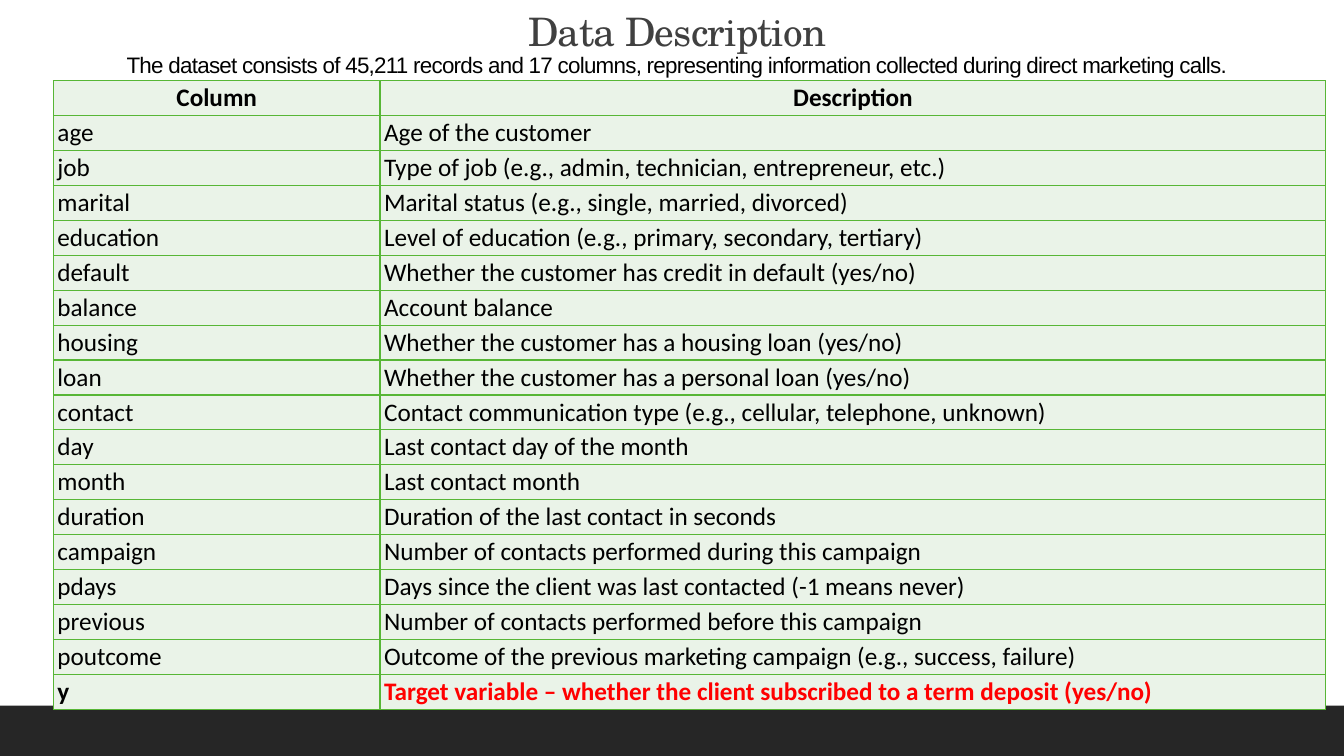
from lxml import etree
from pptx import Presentation
from pptx.dml.color import RGBColor
from pptx.enum.shapes import MSO_SHAPE
from pptx.enum.text import MSO_ANCHOR, PP_ALIGN
from pptx.oxml.ns import qn
from pptx.util import Inches, Pt

RECTANGLE = MSO_SHAPE.RECTANGLE
MIDDLE, BOTTOM = MSO_ANCHOR.MIDDLE, MSO_ANCHOR.BOTTOM
LEFT, CENTER = PP_ALIGN.LEFT, PP_ALIGN.CENTER

BLACK = RGBColor(0x00, 0x00, 0x00)
RED = RGBColor(0xFF, 0x00, 0x00)
TITLE_GREY = RGBColor(0x40, 0x40, 0x40)
BAND_GREY = RGBColor(0x26, 0x26, 0x26)
CELL_GREEN = RGBColor(0xEA, 0xF3, 0xE8)
BORDER_GREEN = RGBColor(0x57, 0xB6, 0x36)

WIDTH, HEIGHT = 13.33, 7.5
TITLE = "Data Description"
SUBTITLE = (
    "The dataset consists of 45,211 records and 17 columns, "
    "representing information collected during direct marketing calls."
)
HEADER = ("Column", "Description")
FIELDS = [
    ("age", "Age of the customer"),
    ("job", "Type of job (e.g., admin, technician, entrepreneur, etc.)"),
    ("marital", "Marital status (e.g., single, married, divorced)"),
    ("education", "Level of education (e.g., primary, secondary, tertiary)"),
    ("default", "Whether the customer has credit in default (yes/no)"),
    ("balance", "Account balance"),
    ("housing", "Whether the customer has a housing loan (yes/no)"),
    ("loan", "Whether the customer has a personal loan (yes/no)"),
    ("contact", "Contact communication type (e.g., cellular, telephone, unknown)"),
    ("day", "Last contact day of the month"),
    ("month", "Last contact month"),
    ("duration", "Duration of the last contact in seconds"),
    ("campaign", "Number of contacts performed during this campaign"),
    ("pdays", "Days since the client was last contacted (-1 means never)"),
    ("previous", "Number of contacts performed before this campaign"),
    ("poutcome", "Outcome of the previous marketing campaign (e.g., success, failure)"),
]
TARGET = ("y", "Target variable – whether the client subscribed to a term deposit (yes/no)")


class DescriptionPage:
    """Holds the slide and its style, with lengths as shares of the slide's size."""

    def __init__(self, deck):
        self.width, self.height = deck.slide_width, deck.slide_height
        self.page = deck.slides.add_slide(deck.slide_layouts[6])

    def place(self, left, top, width, height):
        return (
            round(left * self.width),
            round(top * self.height),
            round(width * self.width),
            round(height * self.height),
        )

    def add_span(self, para, text, font, size, color, align, bold=False, spacing=0):
        para.alignment = align
        span = para.add_run()
        span.text = text
        span.font.name = font
        span.font.size = Pt(size)
        span.font.bold = bold
        span.font.color.rgb = color
        if spacing:
            span.font._element.set("spc", str(round(spacing * 100)))

    def band(self, *area):
        box = self.page.shapes.add_shape(RECTANGLE, *self.place(*area))
        box.shadow.inherit = False
        box.fill.solid()
        box.fill.fore_color.rgb = BAND_GREY
        box.line.fill.background()

    def heading(self, *area):
        frame = self.page.shapes.add_textbox(*self.place(*area)).text_frame
        frame.word_wrap = True
        frame.vertical_anchor = BOTTOM
        lines = (
            (TITLE, "TeX Gyre Schola", 28, TITLE_GREY),
            (SUBTITLE, "Arial", 16, BLACK),
        )
        for index, line in enumerate(lines):
            para = frame.add_paragraph() if index else frame.paragraphs[0]
            para.line_spacing = 0.85
            self.add_span(para, *line, CENTER, spacing=-0.5)

    def border(self, cell):
        properties = cell._tc.get_or_add_tcPr()
        for index, side in enumerate(("a:lnL", "a:lnR", "a:lnT", "a:lnB")):
            line = etree.Element(qn(side), w=str(Pt(1)))
            fill = etree.SubElement(line, qn("a:solidFill"))
            etree.SubElement(fill, qn("a:srgbClr"), val=str(BORDER_GREEN))
            properties.insert(index, line)

    def cell(self, cell, text, color, align, bold):
        cell.fill.solid()
        cell.fill.fore_color.rgb = CELL_GREEN
        cell.vertical_anchor = MIDDLE
        cell.margin_left = cell.margin_right = Inches(0.04)
        cell.margin_top = cell.margin_bottom = Inches(0.02)
        self.border(cell)
        self.add_span(cell.text_frame.paragraphs[0], text, "Calibri", 18, color, align, bold)

    def table(self, rows, first_share, *area):
        left, top, width, height = self.place(*area)
        grid = self.page.shapes.add_table(len(rows), 2, left, top, width, height).table
        grid.first_row = grid.horz_banding = False
        grid.columns[0].width = round(first_share * width)
        grid.columns[1].width = width - grid.columns[0].width
        for row_index, row in enumerate(rows):
            grid.rows[row_index].height = height // len(rows)
            is_header, is_target = row is HEADER, row is TARGET
            for column_index, text in enumerate(row):
                color = RED if is_target and column_index else BLACK
                align = CENTER if is_header else LEFT
                self.cell(
                    grid.cell(row_index, column_index),
                    text, color, align, is_header or is_target,
                )


def main():
    deck = Presentation()
    deck.slide_width, deck.slide_height = Inches(WIDTH), Inches(HEIGHT)
    page = DescriptionPage(deck)
    page.band(0, 7 / HEIGHT, 1, 0.5 / HEIGHT)
    page.heading(1.12 / WIDTH, 0, 11.19 / WIDTH, 0.82 / HEIGHT)
    page.table(
        [HEADER, *FIELDS, TARGET], 3.24 / 12.62,
        0.53 / WIDTH, 0.8 / HEIGHT, 12.62 / WIDTH, 6.24 / HEIGHT,
    )
    deck.save("out.pptx")


if __name__ == "__main__":
    main()
